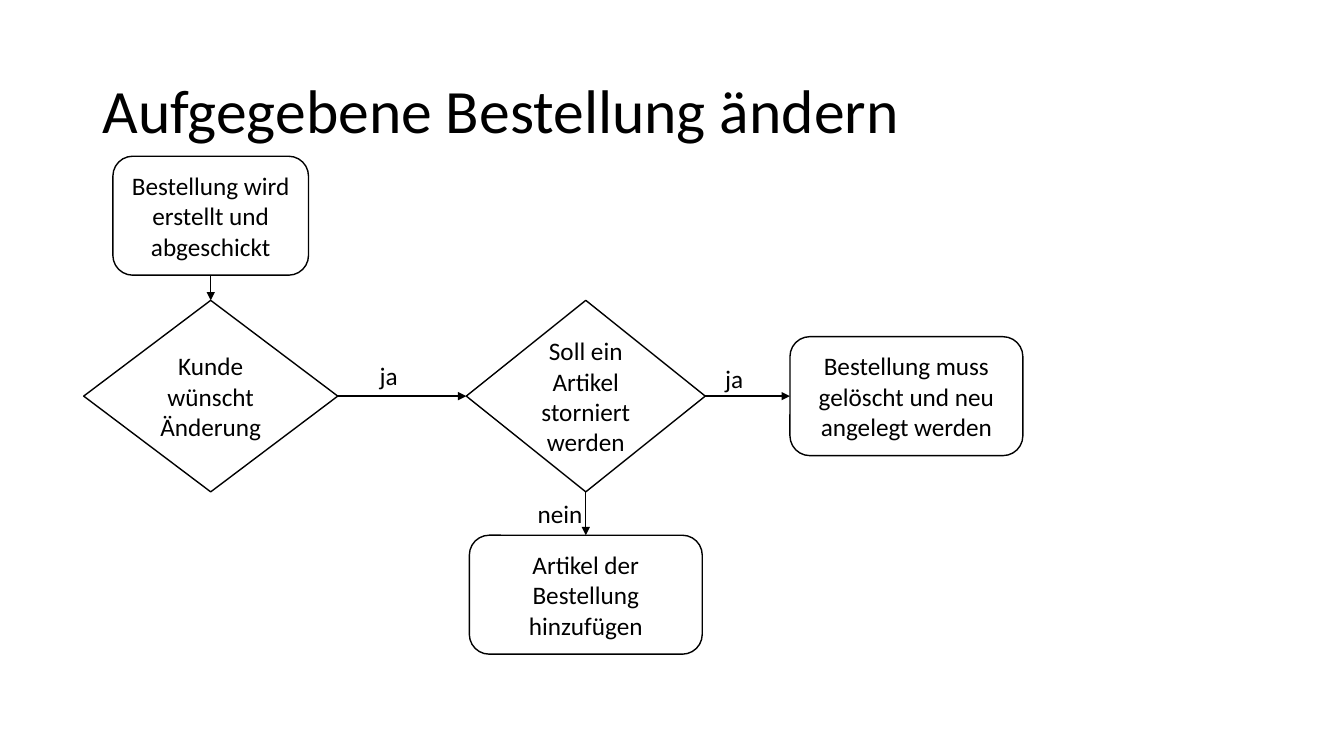
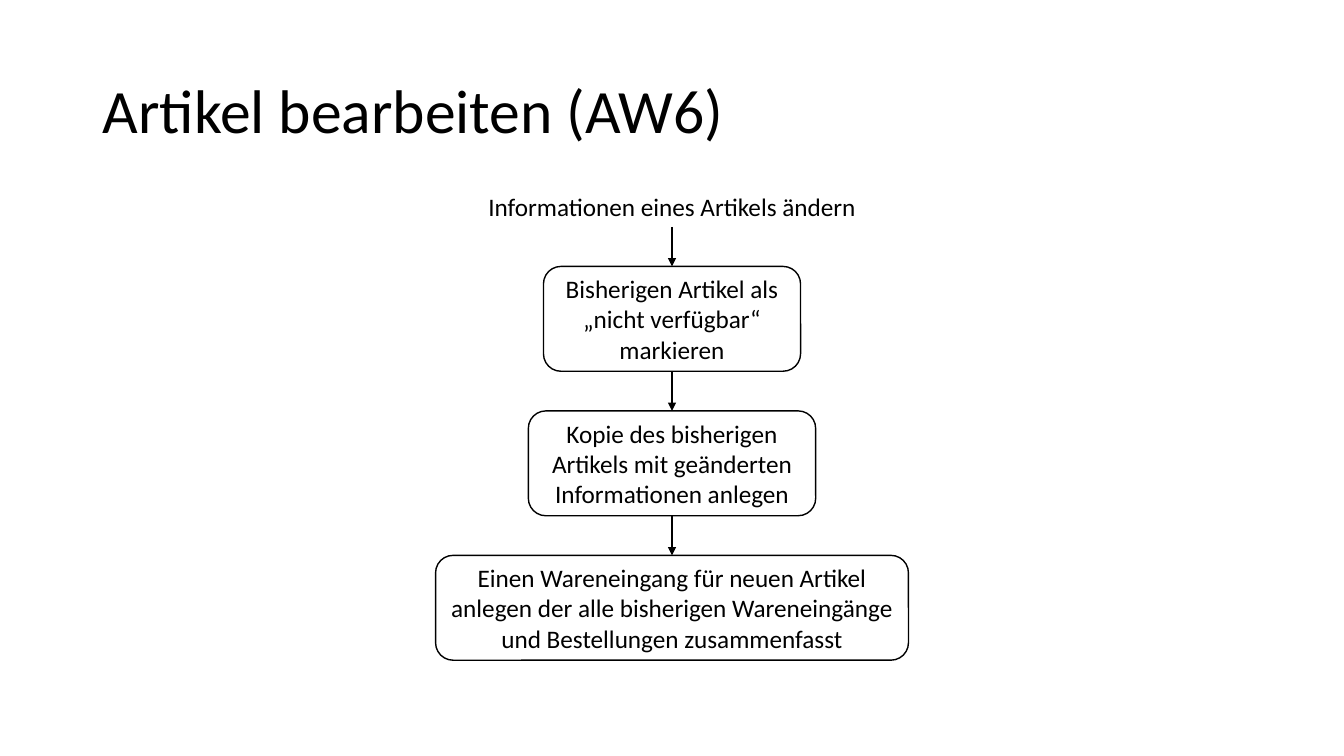
from dataclasses import dataclass
from lxml.etree import SubElement
from pptx import Presentation
from pptx.dml.color import RGBColor
from pptx.enum.shapes import MSO_CONNECTOR, MSO_SHAPE
from pptx.enum.text import MSO_ANCHOR, MSO_AUTO_SIZE, PP_ALIGN
from pptx.oxml.ns import qn
from pptx.util import Inches, Pt


@dataclass(frozen=True)
class Theme:
    font: str = "Calibri"
    ink: RGBColor = RGBColor(0, 0, 0)
    paper: RGBColor = RGBColor(255, 255, 255)
    title_size: Pt = Pt(44)
    body_size: Pt = Pt(18)
    line_width: Pt = Pt(1)


THEME = Theme()
SLIDE_WIDTH, SLIDE_HEIGHT = 13.33, 7.5
TITLE_BOX = (0.92, 0.4, 11.5, 1.45)
LABEL_HEIGHT = 0.4
TOP, LEFT, BOTTOM, RIGHT = range(4)
STEP, DECISION = MSO_SHAPE.ROUNDED_RECTANGLE, MSO_SHAPE.FLOWCHART_DECISION

ORDER_TITLE = "Aufgegebene Bestellung ändern"
COLUMNS = (2.09, 5.81, 8.99)
ROWS = (2.14, 3.93, 5.9)
NODE_HEIGHTS = {STEP: 1.18, DECISION: 1.9}
ORDER_NODES = {
    "created": (STEP, 0, 0, 1.94, "Bestellung wird erstellt und abgeschickt"),
    "change": (DECISION, 0, 1, 2.52, "Kunde wünscht Änderung"),
    "cancel": (DECISION, 1, 1, 2.37, "Soll ein Artikel storniert werden"),
    "replace": (STEP, 2, 1, 2.31, "Bestellung muss gelöscht und neu angelegt werden"),
    "add": (STEP, 1, 2, 2.31, "Artikel der Bestellung hinzufügen"),
}
ORDER_LINKS = [
    ("created", BOTTOM, "change", TOP, None),
    ("change", RIGHT, "cancel", LEFT, ("ja", 0.64, 0, -0.2)),
    ("cancel", RIGHT, "replace", LEFT, ("ja", 0.64, 0, -0.17)),
    ("cancel", BOTTOM, "add", TOP, ("nein", 0.77, -0.19, 0)),
]

ARTICLE_TITLE = "Artikel bearbeiten (AW6)"
ARTICLE_START = ("Informationen eines Artikels ändern", 3.95)
ARTICLE_STEPS = [
    ("Bisherigen Artikel als „nicht verfügbar“ markieren", 2.55),
    ("Kopie des bisherigen Artikels mit geänderten Informationen anlegen", 2.85),
    ("Einen Wareneingang für neuen Artikel anlegen der alle bisherigen "
     "Wareneingänge und Bestellungen zusammenfasst", 4.69),
]
STACK_TOP, STACK_BOTTOM, STACK_STEP_HEIGHT = 1.85, 6.55, 1.04


def write(shape, text, size, alignment):
    shape.text_frame.text = text
    paragraph = shape.text_frame.paragraphs[0]
    paragraph.alignment = alignment
    paragraph.font.name = THEME.font
    paragraph.font.size = size
    paragraph.font.color.rgb = THEME.ink
    return paragraph


def add_titled_slide(presentation, text):
    slide = presentation.slides.add_slide(presentation.slide_layouts[5])
    title = slide.shapes.title
    title.left, title.top, title.width, title.height = map(Inches, TITLE_BOX)
    paragraph = write(title, text, THEME.title_size, PP_ALIGN.LEFT)
    paragraph.line_spacing = 0.9
    title.text_frame.vertical_anchor = MSO_ANCHOR.MIDDLE
    return slide


def centred_box(x, y, width, height):
    return map(Inches, (x - width / 2, y - height / 2, width, height))


def add_node(slide, kind, x, y, width, height, text):
    node = slide.shapes.add_shape(kind, *centred_box(x, y, width, height))
    node.shadow.inherit = False
    node.fill.solid()
    node.fill.fore_color.rgb = THEME.paper
    node.line.color.rgb = THEME.ink
    node.line.width = THEME.line_width
    write(node, text, THEME.body_size, PP_ALIGN.CENTER)
    return node


def add_label(slide, x, y, width, text, alignment=PP_ALIGN.LEFT):
    label = slide.shapes.add_textbox(*centred_box(x, y, width, LABEL_HEIGHT))
    label.text_frame.word_wrap = True
    label.text_frame.auto_size = MSO_AUTO_SIZE.SHAPE_TO_FIT_TEXT
    write(label, text, THEME.body_size, alignment)
    return label


def add_arrow(slide, start, start_site, end, end_site):
    arrow = slide.shapes.add_connector(MSO_CONNECTOR.STRAIGHT, 0, 0, 0, 0)
    arrow.begin_connect(start, start_site)
    arrow.end_connect(end, end_site)
    arrow.line.color.rgb = THEME.ink
    arrow.line.width = THEME.line_width
    SubElement(arrow.line._get_or_add_ln(), qn("a:tailEnd"), type="triangle")
    SubElement(arrow._element.spPr, qn("a:effectLst"))
    return arrow


def build_order_slide(presentation):
    slide = add_titled_slide(presentation, ORDER_TITLE)
    nodes = {
        name: add_node(slide, kind, COLUMNS[column], ROWS[row], width, NODE_HEIGHTS[kind], text)
        for name, (kind, column, row, width, text) in ORDER_NODES.items()
    }
    for start, start_site, end, end_site, label in ORDER_LINKS:
        arrow = add_arrow(slide, nodes[start], start_site, nodes[end], end_site)
        if label:
            text, width, shift_x, shift_y = label
            middle_x = (arrow.begin_x + arrow.end_x) / 2 / Inches(1)
            middle_y = (arrow.begin_y + arrow.end_y) / 2 / Inches(1)
            add_label(slide, middle_x + shift_x, middle_y + shift_y, width, text)


def build_article_slide(presentation):
    slide = add_titled_slide(presentation, ARTICLE_TITLE)
    middle = SLIDE_WIDTH / 2
    text, width = ARTICLE_START
    previous = add_label(slide, middle, STACK_TOP + LABEL_HEIGHT / 2, width, text, PP_ALIGN.CENTER)
    pitch = (STACK_BOTTOM - STACK_TOP - LABEL_HEIGHT) / len(ARTICLE_STEPS)
    first_centre = STACK_TOP + LABEL_HEIGHT + pitch - STACK_STEP_HEIGHT / 2
    for row, (text, width) in enumerate(ARTICLE_STEPS):
        centre = first_centre + row * pitch
        step = add_node(slide, STEP, middle, centre, width, STACK_STEP_HEIGHT, text)
        add_arrow(slide, previous, BOTTOM, step, TOP)
        previous = step


presentation = Presentation()
presentation.slide_width = Inches(SLIDE_WIDTH)
presentation.slide_height = Inches(SLIDE_HEIGHT)
build_order_slide(presentation)
build_article_slide(presentation)
presentation.save("out.pptx")
